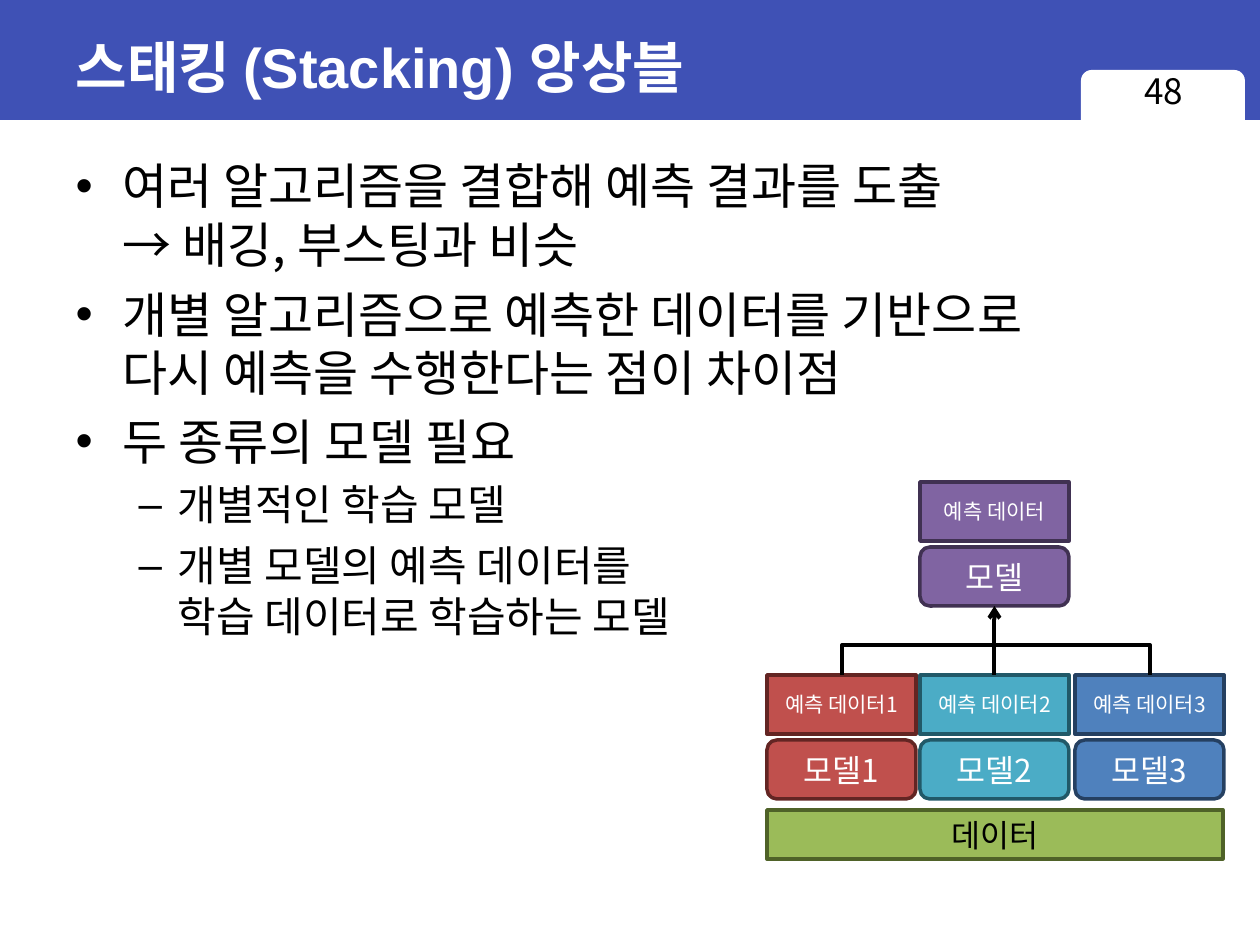
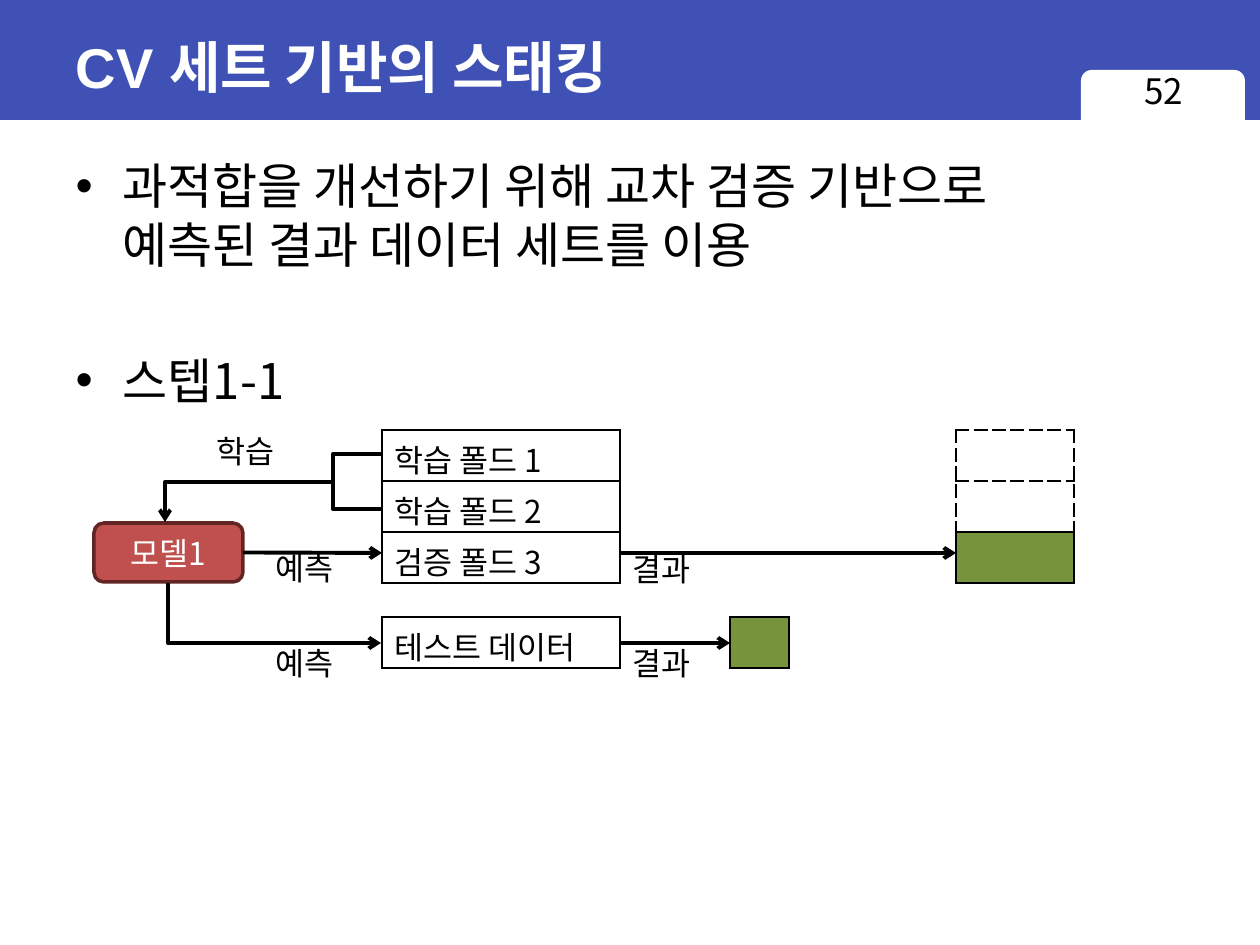
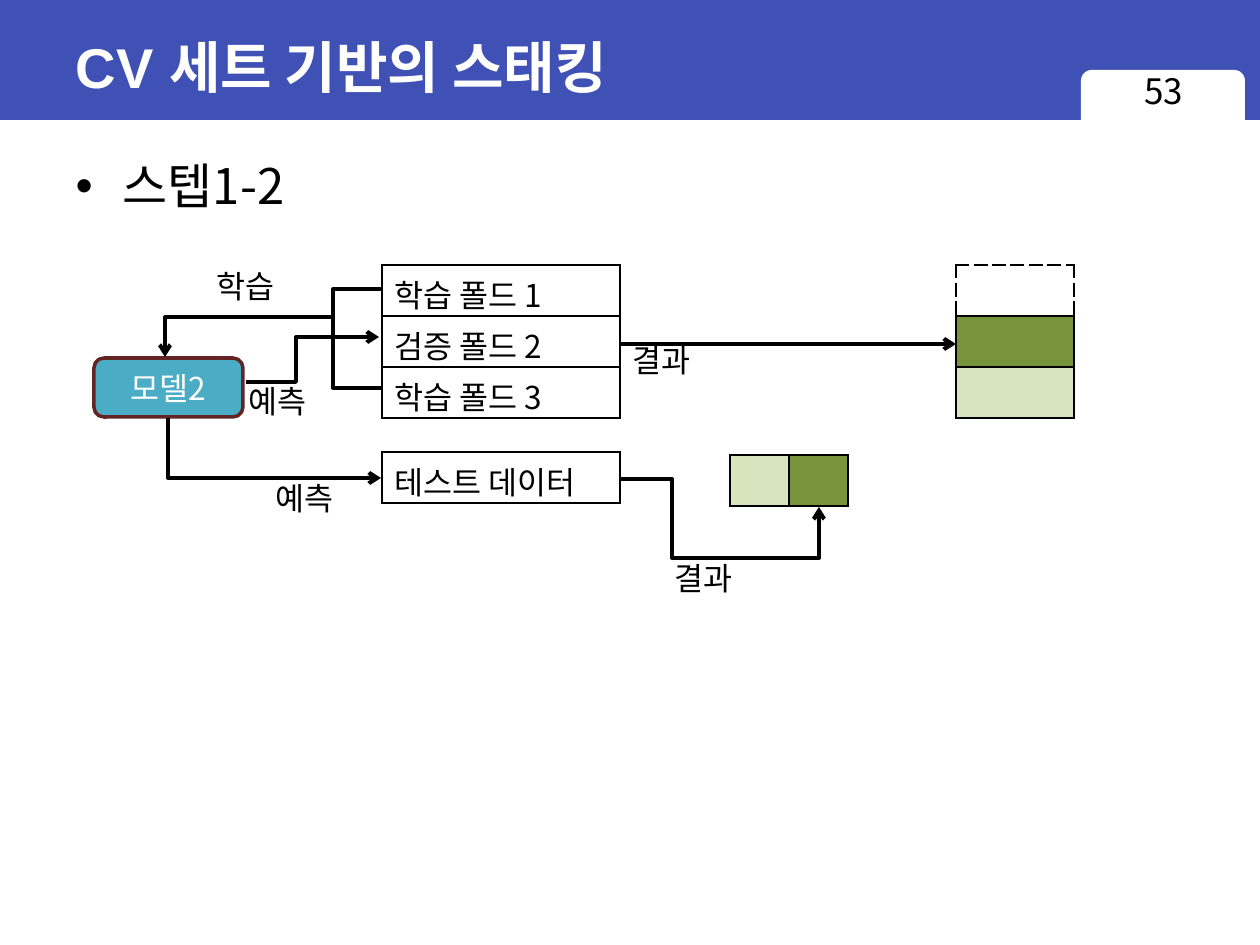
from lxml.etree import SubElement
from pptx import Presentation
from pptx.dml.color import RGBColor
from pptx.enum.shapes import MSO_CONNECTOR, MSO_SHAPE
from pptx.enum.text import MSO_ANCHOR, MSO_AUTO_SIZE, PP_ALIGN
from pptx.oxml import parse_xml
from pptx.oxml.ns import nsdecls, qn
from pptx.util import Emu, Pt

PX = 914400 / 126
SLIDE_WIDTH, SLIDE_HEIGHT = 1260, 945
KOREAN_FONT, TITLE_FONT = "Noto Sans CJK KR", "Arial"
COLORS = {
    "band": "3F51B5", "white": "FFFFFF", "black": "000000",
    "red": "C0504D", "red_line": "632523",
    "teal": "4BACC6", "teal_line": "215968",
    "blue": "4F81BD", "blue_line": "254061",
    "purple": "8064A2", "purple_line": "403152",
    "lime": "9BBB59", "lime_line": "4F6228",
    "current": "77933C", "earlier": "D7E4BD",
}
BODY_LEVELS = [(28, 33.5), (24, 29)]
BLANK_LINE_GAP = 44
BLOCK_WIDTH, BLOCK_HEIGHT = 149, 59
CELL_HEIGHT = 51
FOLD_WIDTH, RESULT_WIDTH, TEST_RESULT_WIDTH = 238, 118, 59
FOLD_LEFT, FOLD_RIGHT, RESULT_LEFT, TEST_RESULT_LEFT = 288, 526, 862, 636
TEST_TOP, TEST_MIDDLE = 187, 213
DIAGRAM_LEFT = 94


def px(length):
    """Turn a length in px into EMU."""
    return Emu(round(length * PX))


def rgb(name):
    """Look up a named colour."""
    return RGBColor.from_string(COLORS[name])


def format_runs(paragraph, size, color="black", font=KOREAN_FONT, bold=False):
    """Give every run of a paragraph its font, size and colour."""
    for run in paragraph.runs:
        run.font.size = Pt(size)
        run.font.bold = bold
        run.font.color.rgb = rgb(color)
        run.font.name = font
        SubElement(run._r.get_or_add_rPr(), qn("a:ea"), typeface=KOREAN_FONT)


def place(shape, left, top, width, height):
    """Move and size a shape."""
    shape.left, shape.top = px(left), px(top)
    shape.width, shape.height = px(width), px(height)


def add_box(slide, kind, box, fill, line=None, text="", size=18, color="white"):
    """Draw a filled preset shape with centred text."""
    shape = slide.shapes.add_shape(kind, *map(px, box))
    shape.shadow.inherit = False
    shape.fill.solid()
    shape.fill.fore_color.rgb = rgb(fill)
    if line:
        shape.line.color.rgb = rgb(line)
        shape.line.width = Pt(2)
    else:
        shape.line.fill.background()
    if text:
        frame = shape.text_frame
        frame.margin_left = frame.margin_right = 0
        frame.vertical_anchor = MSO_ANCHOR.MIDDLE
        frame.text = text
        frame.paragraphs[0].alignment = PP_ALIGN.CENTER
        format_runs(frame.paragraphs[0], size, color)
    return shape


def add_label(slide, box, text, size=18, align=PP_ALIGN.LEFT):
    """Add a one-line text box."""
    frame = slide.shapes.add_textbox(*map(px, box)).text_frame
    frame.word_wrap = False
    frame.margin_top = px(1)
    frame.text = text
    frame.paragraphs[0].alignment = align
    format_runs(frame.paragraphs[0], size)


def style_stroke(shape, arrow):
    """Make a line black and thick, with an arrowhead if wanted."""
    shape.line.color.rgb = rgb("black")
    shape.line.width = Pt(2.25)
    if arrow:
        SubElement(shape.line._get_or_add_ln(), qn("a:tailEnd"), type="arrow")


def add_straight_arrow(slide, start, end):
    """Draw a straight arrow without a shadow."""
    connector = slide.shapes.add_connector(MSO_CONNECTOR.STRAIGHT, *map(px, start + end))
    style_stroke(connector, True)
    SubElement(connector.element.spPr, qn("a:effectLst"))
    return connector


def add_path(slide, origin, points, arrow=True):
    """Draw an open line with corners, relative to an origin."""
    left, top = origin
    corners = [(px(left + x), px(top + y)) for x, y in points]
    builder = slide.shapes.build_freeform(*corners[0])
    builder.add_line_segments(corners[1:], close=False)
    shape = builder.convert_to_shape()
    shape.shadow.inherit = False
    shape.fill.background()
    style_stroke(shape, arrow)


def set_borders(cell, dashed=""):
    """Give a cell thin black borders, dashed on the named sides."""
    properties = cell._tc.get_or_add_tcPr()
    for index, side in enumerate("LRTB"):
        dash = "dash" if side in dashed else "solid"
        properties.insert(index, parse_xml(
            f'<a:ln{side} {nsdecls("a")} w="12700"><a:solidFill>'
            f'<a:srgbClr val="{COLORS["black"]}"/></a:solidFill>'
            f'<a:prstDash val="{dash}"/></a:ln{side}>'))


def add_column(slide, left, top, width, count):
    """Add a one-column table and return its unfilled cells."""
    table = slide.shapes.add_table(
        count, 1, px(left), px(top), px(width), px(count * CELL_HEIGHT)).table
    table.first_row = table.horz_banding = False
    cells = [table.cell(row, 0) for row in range(count)]
    for cell in cells:
        cell.fill.background()
    return cells


def add_text_column(slide, left, top, texts):
    """Add a table of data set names."""
    for cell, text in zip(add_column(slide, left, top, FOLD_WIDTH, len(texts)), texts):
        cell.text_frame.text = text
        format_runs(cell.text_frame.paragraphs[0], 18)
        set_borders(cell)


def add_result_column(slide, left, top, width, fills):
    """Add a table of results, dashed where a result is still missing."""
    cells = add_column(slide, left, top, width, len(fills))
    for cell, fill, below in zip(cells, fills, fills[1:] + ["end"]):
        if fill:
            cell.fill.solid()
            cell.fill.fore_color.rgb = rgb(fill)
            set_borders(cell)
        else:
            set_borders(cell, "LRT" if below else "LRTB")


def add_master_band(presentation, slide):
    """Put the title band and the page tab on the slide master."""
    band = add_box(slide, MSO_SHAPE.RECTANGLE, (0, 0, SLIDE_WIDTH, 120), "band")
    tab = add_box(slide, MSO_SHAPE.ROUNDED_RECTANGLE, (1081, 70, 164, 64), "white")
    tree = presentation.slide_master.shapes.element
    for index, shape in enumerate((band, tab)):
        shape.element.nvSpPr.cNvPr.set("id", str(100 + index))
        tree.insert(2 + index, shape.element)


def add_content_slide(presentation, title, number, items, body_width=1182):
    """Add a slide with its title, list and page number."""
    slide = presentation.slides.add_slide(presentation.slide_layouts[1])
    heading, body = slide.shapes.title, slide.placeholders[1]
    place(heading, 63, 14, 1134, 104)
    heading.text_frame.text = title
    heading.text_frame.vertical_anchor = MSO_ANCHOR.MIDDLE
    heading.text_frame.paragraphs[0].alignment = PP_ALIGN.LEFT
    format_runs(heading.text_frame.paragraphs[0], 32, "white", TITLE_FONT, True)
    place(body, 63, 145, body_width, 774)
    frame = body.text_frame
    frame.auto_size = MSO_AUTO_SIZE.NONE
    frame.margin_top = px(11)
    for index, (level, text) in enumerate(items):
        paragraph = frame.add_paragraph() if index else frame.paragraphs[0]
        paragraph.text = text
        paragraph.level = level
        size, spacing = BODY_LEVELS[level]
        paragraph.line_spacing = Pt(spacing)
        format_runs(paragraph, size)
    add_label(slide, (1081, 69, 165, 66), str(number), 20, PP_ALIGN.CENTER)
    return slide


def add_model_pair(slide, left, top, color, suffix=""):
    """Stack a predicted data block on its model block."""
    colors = color, f"{color}_line"
    data = add_box(slide, MSO_SHAPE.RECTANGLE, (left, top, BLOCK_WIDTH, BLOCK_HEIGHT),
                   *colors, f"예측 데이터{suffix}", 12)
    model = add_box(slide, MSO_SHAPE.ROUNDED_RECTANGLE,
                    (left, top + 65, BLOCK_WIDTH, BLOCK_HEIGHT), *colors, f"모델{suffix}")
    return data, model


def add_stacking_diagram(slide, left, top):
    """Draw three models whose predictions feed a final model."""
    add_box(slide, MSO_SHAPE.RECTANGLE, (left, top + 328, 456, 49),
            "lime", "lime_line", "데이터", color="black")
    columns = zip((0, 153, 308), ("red", "teal", "blue"))
    pairs = [add_model_pair(slide, left + offset, top + 193, color, number)
             for number, (offset, color) in enumerate(columns, 1)]
    final_model = add_model_pair(slide, left + 153, top, "purple")[1]
    add_path(slide, (left, top), [(75, 193), (75, 163), (383, 163), (383, 193)], False)
    arrow = add_straight_arrow(slide, (left + 227, top + 193), (left + 227, top + 124))
    arrow.begin_connect(pairs[1][0], 0)
    arrow.end_connect(final_model, 2)


def add_training_diagram(slide, left, top, model, color, folds, results, bracket_end):
    """Draw the parts that every cross validation step shares."""
    origin = left, top
    add_text_column(slide, left + FOLD_LEFT, top, folds)
    add_text_column(slide, left + FOLD_LEFT, top + TEST_TOP, ["테스트 데이터"])
    block = add_box(slide, MSO_SHAPE.ROUNDED_RECTANGLE,
                    (left, top + 93, BLOCK_WIDTH, BLOCK_HEIGHT), color, "red_line", model)
    add_path(slide, origin, [(FOLD_LEFT, 24), (239, 24), (239, bracket_end),
                             (FOLD_LEFT, bracket_end)], False)
    add_path(slide, origin, [(238, 52), (71, 52), (71, 92)])
    add_path(slide, origin, [(74, 153), (74, TEST_MIDDLE), (FOLD_LEFT - 1, TEST_MIDDLE)])
    add_result_column(slide, left + RESULT_LEFT, top, RESULT_WIDTH, results)
    result_middle = top + (123 if bracket_end < 100 else 79)
    add_straight_arrow(slide, (left + FOLD_RIGHT, result_middle),
                       (left + RESULT_LEFT, result_middle))
    add_step_labels(slide, left, top, [
        (110, 1, "학습"), (169, TEST_MIDDLE, "예측"),
        (FOLD_RIGHT, result_middle - top - 4, "결과")])
    return block


def add_step_labels(slide, left, top, labels):
    """Add the captions of a step diagram."""
    for x, y, text in labels:
        add_label(slide, (left + x, top + y, 89, 50), text)


def add_first_step(slide, left, top):
    """Draw step 1-1, which predicts the third fold."""
    block = add_training_diagram(
        slide, left, top, "모델1", "red", ["학습 폴드 1", "학습 폴드 2", "검증 폴드 3"],
        [None, None, "current"], 79)
    add_straight_arrow(slide, (left + BLOCK_WIDTH, top + 123),
                       (left + FOLD_LEFT, top + 123)).begin_connect(block, 3)
    add_result_column(slide, left + TEST_RESULT_LEFT, top + TEST_TOP,
                      TEST_RESULT_WIDTH, ["current"])
    add_straight_arrow(slide, (left + FOLD_RIGHT, top + TEST_MIDDLE),
                       (left + TEST_RESULT_LEFT, top + TEST_MIDDLE))
    add_step_labels(slide, left, top, [(169, 118, "예측"), (FOLD_RIGHT, TEST_MIDDLE, "결과")])


def add_second_step(slide, left, top):
    """Draw step 1-2, which predicts the second fold."""
    add_training_diagram(
        slide, left, top, "모델2", "teal", ["학습 폴드 1", "검증 폴드 2", "학습 폴드 3"],
        [None, "current", "earlier"], 123)
    add_path(slide, (left, top), [(152, 117), (202, 117), (202, 72), (285, 72)])
    for index, fill in enumerate(("earlier", "current")):
        add_result_column(slide, left + TEST_RESULT_LEFT + index * TEST_RESULT_WIDTH,
                          top + 190, TEST_RESULT_WIDTH, [fill])
    add_path(slide, (left, top), [(527, 214), (578, 214), (578, 293), (725, 293), (725, 242)])
    add_step_labels(slide, left, top, [(142, 116, "예측"), (568, 293, "결과")])


def main():
    """Build and save the three slides."""
    presentation = Presentation()
    presentation.slide_width, presentation.slide_height = px(SLIDE_WIDTH), px(SLIDE_HEIGHT)

    stacking = add_content_slide(presentation, "스태킹 (Stacking) 앙상블", 48, [
        (0, "여러 알고리즘을 결합해 예측 결과를 도출\n→ 배깅, 부스팅과 비슷"),
        (0, "개별 알고리즘으로 예측한 데이터를 기반으로\n다시 예측을 수행한다는 점이 차이점"),
        (0, "두 종류의 모델 필요"),
        (1, "개별적인 학습 모델"),
        (1, "개별 모델의 예측 데이터를\n학습 데이터로 학습하는 모델"),
    ], 1197)
    add_master_band(presentation, stacking)
    add_stacking_diagram(stacking, 767, 482)

    cv_title = "CV 세트 기반의 스태킹"
    first = add_content_slide(presentation, cv_title, 52, [
        (0, "과적합을 개선하기 위해 교차 검증 기반으로\n예측된 결과 데이터 세트를 이용"),
        (0, "스텝1-1"),
    ])
    first.placeholders[1].text_frame.paragraphs[1].space_before = Pt(BLANK_LINE_GAP)
    add_first_step(first, DIAGRAM_LEFT, 430)

    second = add_content_slide(presentation, cv_title, 53, [(0, "스텝1-2")])
    add_second_step(second, DIAGRAM_LEFT, 265)

    presentation.save("out.pptx")


if __name__ == "__main__":
    main()
